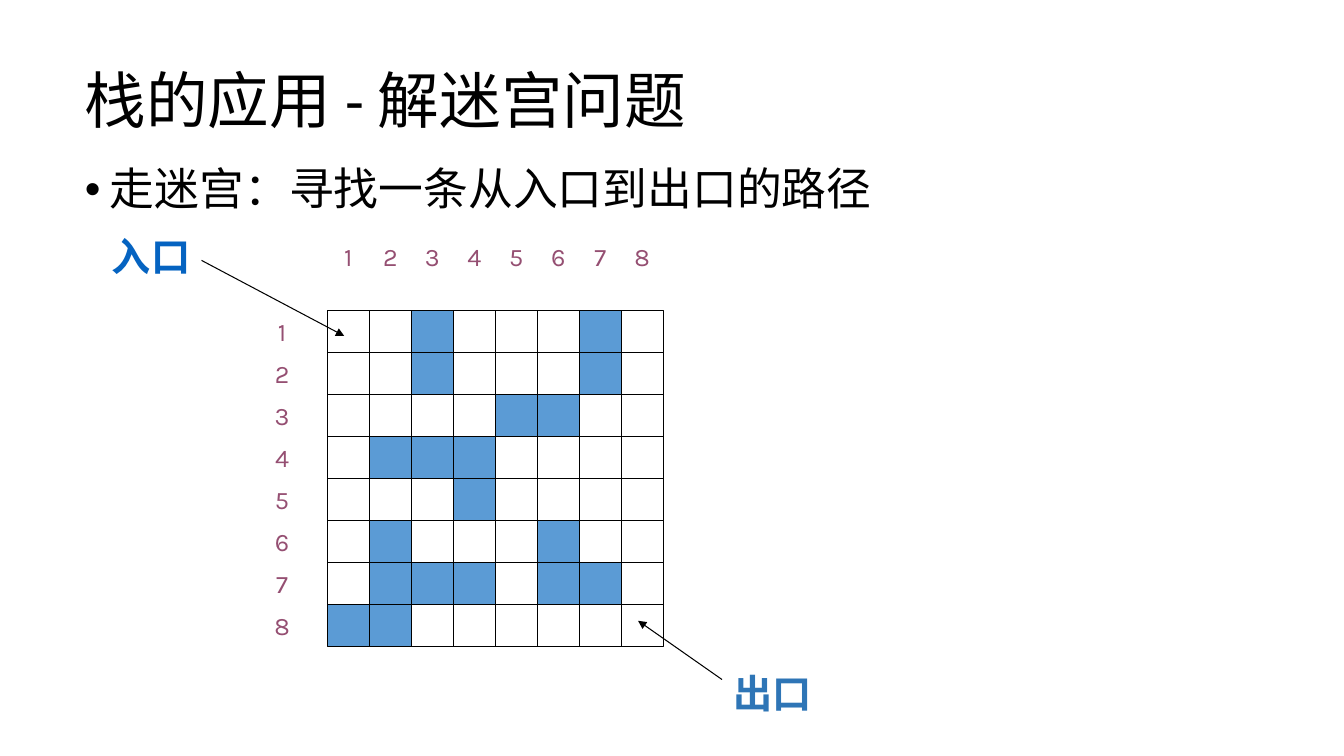
from dataclasses import dataclass

from lxml.etree import SubElement
from pptx import Presentation
from pptx.dml.color import RGBColor
from pptx.enum.shapes import MSO_CONNECTOR, MSO_SHAPE
from pptx.enum.text import MSO_ANCHOR, MSO_AUTO_SIZE, PP_ALIGN
from pptx.oxml.ns import qn
from pptx.slide import Slide
from pptx.text.text import TextFrame
from pptx.util import Emu, Inches, Pt

COLORS = {
    "ink": "000000",
    "wall": "5B9BD5",
    "number": "954F72",
    "entrance": "0563C1",
    "exit": "2E75B6",
}
CELL = 5 / 12  # inches; the slide is 32 columns by 18 rows of cells
MAZE_COLUMN, MAZE_ROW = 7.8, 7.4
NUMBER_COLUMN, NUMBER_ROW = 6.22, 5.6
MAZE = (
    "..#...#.",
    "..#...#.",
    "....##..",
    ".###....",
    "...#....",
    ".#...#..",
    ".###.##.",
    "##......",
)


@dataclass
class Label:
    text: str
    column: float
    row: float
    columns: float = 1
    size: int = 18
    color: str = "number"
    bold: bool = False


@dataclass
class Arrow:
    start: tuple[float, float]
    end: tuple[float, float]


def cells(count: float) -> Emu:
    return Inches(count * CELL)


def rgb(name: str) -> RGBColor:
    return RGBColor.from_string(COLORS[name])


def fill_placeholder(slide: Slide, index: int, text: str, row: float,
                     rows: float, size: int, anchor: MSO_ANCHOR) -> TextFrame:
    shape = slide.placeholders[index]
    shape.left, shape.top = cells(1.78), cells(row)
    shape.width, shape.height = cells(22.56), cells(rows)
    text_frame = shape.text_frame
    text_frame.text = text
    text_frame.auto_size = MSO_AUTO_SIZE.NONE
    text_frame.vertical_anchor = anchor
    paragraph = text_frame.paragraphs[0]
    paragraph.alignment = PP_ALIGN.LEFT
    paragraph.line_spacing = 0.9
    paragraph.space_before = Pt(0)
    font = paragraph.runs[0].font
    font.name, font.size = "Calibri", Pt(size)
    font.color.rgb = rgb("ink")
    return text_frame


def draw_label(slide: Slide, label: Label) -> None:
    shape = slide.shapes.add_textbox(cells(label.column), cells(label.row),
                                     cells(label.columns), cells(1))
    text_frame = shape.text_frame
    text_frame.text = label.text
    text_frame.word_wrap = False
    text_frame.vertical_anchor = MSO_ANCHOR.MIDDLE
    paragraph = text_frame.paragraphs[0]
    paragraph.alignment = PP_ALIGN.CENTER
    font = paragraph.runs[0].font
    font.name, font.size, font.bold = "Karla", Pt(label.size), label.bold
    font.color.rgb = rgb(label.color)


def draw_arrow(slide: Slide, arrow: Arrow) -> None:
    connector = slide.shapes.add_connector(
        MSO_CONNECTOR.STRAIGHT, *map(cells, arrow.start + arrow.end))
    connector.line.color.rgb = rgb("ink")
    connector.line.width = Pt(0.75)
    properties = connector._element.spPr
    SubElement(properties.find(qn("a:ln")), qn("a:tailEnd"), type="triangle")
    SubElement(properties, qn("a:effectLst"))


def draw_cell(slide: Slide, column: float, row: float, wall: bool) -> None:
    shape = slide.shapes.add_shape(MSO_SHAPE.RECTANGLE, cells(column),
                                   cells(row), cells(1), cells(1))
    shape.shadow.inherit = False
    shape.line.color.rgb = rgb("ink")
    shape.line.width = Pt(0.75)
    if wall:
        shape.fill.solid()
        shape.fill.fore_color.rgb = rgb("wall")
    else:
        shape.fill.background()


def main() -> None:
    presentation = Presentation()
    presentation.slide_width = Inches(13.34)
    presentation.slide_height = Inches(7.5)
    slide = presentation.slides.add_slide(presentation.slide_layouts[1])

    # Title and bulleted task
    fill_placeholder(slide, 0, "栈的应用 - 解迷宫问题", 1.61, 1.7, 44,
                     MSO_ANCHOR.MIDDLE)
    body = fill_placeholder(slide, 1, "走迷宫：寻找一条从入口到出口的路径",
                            3.86, 12.14, 32, MSO_ANCHOR.TOP)
    properties = body.paragraphs[0]._p.get_or_add_pPr()
    properties.set("marL", str(Inches(0.25)))
    properties.set("indent", str(-Inches(0.25)))

    # Maze
    for row, line in enumerate(MAZE):
        for column, mark in enumerate(line):
            draw_cell(slide, MAZE_COLUMN + column, MAZE_ROW + row, mark == "#")

    # Column and row numbers
    for index in range(len(MAZE)):
        number = str(index + 1)
        draw_label(slide, Label(number, MAZE_COLUMN + index, NUMBER_ROW))
        draw_label(slide, Label(number, NUMBER_COLUMN, MAZE_ROW + index))

    # Entrance and exit
    for label in (Label("入口", 2.2, 5.6, 2.8, 28, "entrance", True),
                  Label("出口", 17, 16, 2.8, 28, "exit", True)):
        draw_label(slide, label)
    for arrow in (Arrow((4.8, 6.2), (8.2, 8)),
                  Arrow((17.2, 16.18), (15.2, 14.78))):
        draw_arrow(slide, arrow)

    presentation.save("out.pptx")


if __name__ == "__main__":
    main()
